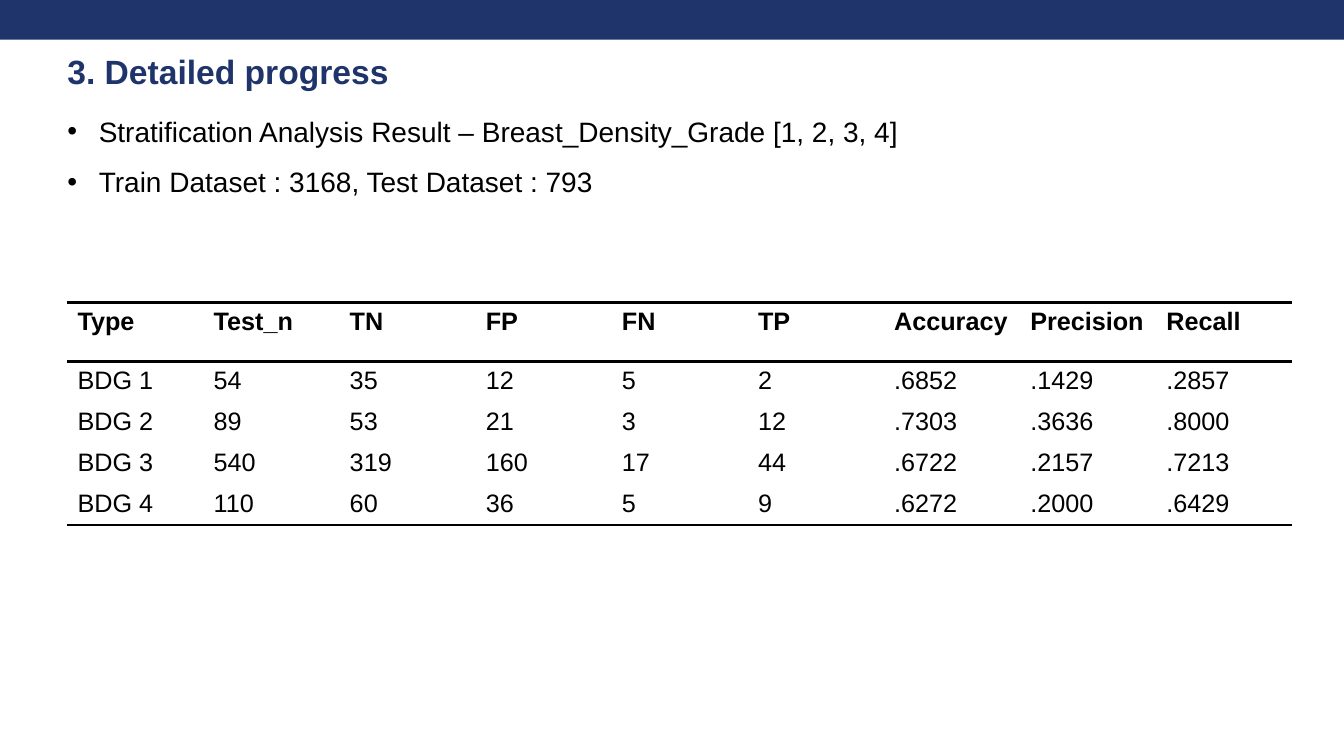
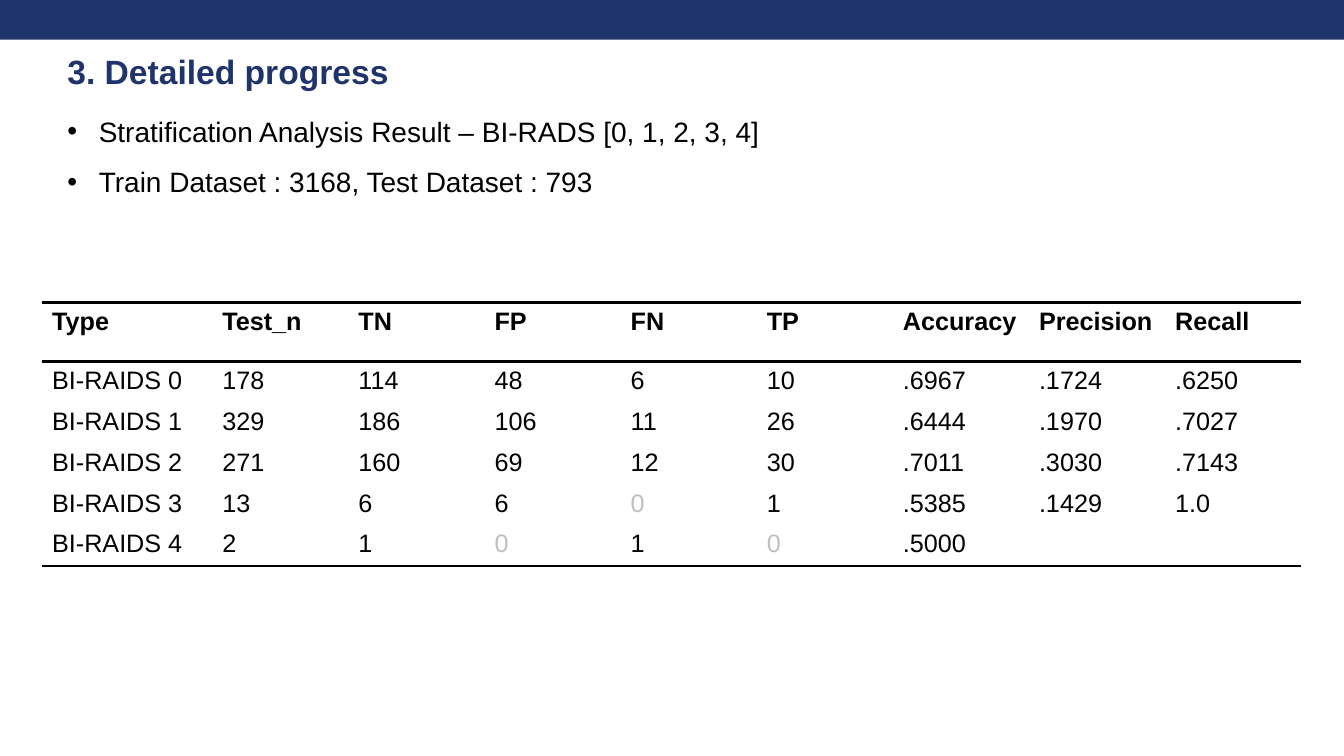
from lxml import etree
from pptx import Presentation
from pptx.dml.color import RGBColor
from pptx.enum import shapes, text
from pptx.oxml import ns
from pptx.util import Cm, Pt

# Content
TITLE = "3. Detailed progress"
DATASETS = "Train Dataset : 3168, Test Dataset : 793"
HEADINGS = ("Type", "Test_n", "TN", "FP", "FN", "TP", "Accuracy", "Precision", "Recall")
RESULTS = [
    {
        "grouping": "Stratification Analysis Result – Breast_Density_Grade [1, 2, 3, 4]",
        "left": 1.7, "type_width": 3.43,
        "rows": [
            ("BDG 1", "54", "35", "12", "5", "2", ".6852", ".1429", ".2857"),
            ("BDG 2", "89", "53", "21", "3", "12", ".7303", ".3636", ".8000"),
            ("BDG 3", "540", "319", "160", "17", "44", ".6722", ".2157", ".7213"),
            ("BDG 4", "110", "60", "36", "5", "9", ".6272", ".2000", ".6429"),
        ],
    },
    {
        "grouping": "Stratification Analysis Result – BI-RADS [0, 1, 2, 3, 4]",
        "left": 1.06, "type_width": 4.29,
        "rows": [
            ("BI-RAIDS 0", "178", "114", "48", "6", "10", ".6967", ".1724", ".6250"),
            ("BI-RAIDS 1", "329", "186", "106", "11", "26", ".6444", ".1970", ".7027"),
            ("BI-RAIDS 2", "271", "160", "69", "12", "30", ".7011", ".3030", ".7143"),
            ("BI-RAIDS 3", "13", "6", "6", "0", "1", ".5385", ".1429", "1.0"),
            ("BI-RAIDS 4", "2", "1", "0", "1", "0", ".5000", "", ""),
        ],
    },
]


# Look shared by the slides
class Theme:
    font = "Arial"
    navy, black, grey = (RGBColor.from_string(c) for c in ("1F346B", "000000", "BFBFBF"))
    title_size, bullet_size, table_size = Pt(24), Pt(20), Pt(18)
    rule = Pt(2.25)


WIDTH, HEIGHT = Cm(33.87), Cm(19.05)
MARGIN = Cm(1.7)
BAND_HEIGHT = Cm(1)
TABLE_TOP, HEADING_HEIGHT, ROW_HEIGHT, VALUE_WIDTH = Cm(7.62), Cm(1.49), Cm(1.03), Cm(3.43)
BULLET_INDENT = Cm(0.79)


def style(paragraph, size, color, bold=False):
    for run in paragraph.runs:
        run.font.name, run.font.size, run.font.bold = Theme.font, size, bold
        run.font.color.rgb = color


def add_text(slide, top, width, height, content):
    frame = slide.shapes.add_textbox(MARGIN, top, width, height).text_frame
    frame.word_wrap = True
    frame.margin_left = frame.margin_right = frame.margin_top = frame.margin_bottom = 0
    frame.text = content
    return frame


def add_bullet(paragraph):
    properties = paragraph._p.get_or_add_pPr()
    properties.set("marL", str(BULLET_INDENT))
    properties.set("indent", str(-BULLET_INDENT))
    etree.SubElement(properties, ns.qn("a:buFont"), typeface=Theme.font)
    etree.SubElement(properties, ns.qn("a:buChar"), char="•")
    paragraph.line_spacing = 1.5


def set_borders(cell, ruled_sides):
    properties = cell._tc.get_or_add_tcPr()
    for side in "LRTB":
        line = etree.SubElement(properties, ns.qn(f"a:ln{side}"))
        if side in ruled_sides:
            line.set("w", str(Theme.rule))
            fill = etree.SubElement(line, ns.qn("a:solidFill"))
            etree.SubElement(fill, ns.qn("a:srgbClr"), val=str(Theme.black))
        else:
            etree.SubElement(line, ns.qn("a:noFill"))


def add_header(slide):
    band = slide.shapes.add_shape(shapes.MSO_SHAPE.RECTANGLE, 0, 0, WIDTH, BAND_HEIGHT)
    band.shadow.inherit = False
    band.fill.solid()
    band.fill.fore_color.rgb = Theme.navy
    band.line.fill.background()
    title = add_text(slide, Cm(1.25), Cm(31.55), Cm(1.07), TITLE)
    title.vertical_anchor = text.MSO_ANCHOR.MIDDLE
    style(title.paragraphs[0], Theme.title_size, Theme.navy, bold=True)


def add_results(slide, result):
    rows = [HEADINGS] + result["rows"]
    widths = [Cm(result["type_width"])] + [VALUE_WIDTH] * (len(HEADINGS) - 1)
    heights = [HEADING_HEIGHT] + [ROW_HEIGHT] * len(result["rows"])
    table = slide.shapes.add_table(len(rows), len(HEADINGS), Cm(result["left"]), TABLE_TOP,
                                   sum(widths), sum(heights)).table
    table.first_row = table.horz_banding = False
    for column, width in zip(table.columns, widths):
        column.width = width
    for number, (row, height, values) in enumerate(zip(table.rows, heights, rows)):
        row.height = height
        # Rules above and below the headings, and below the last row
        sides = {0: "TB", 1: "T", len(rows) - 1: "B"}.get(number, "")
        for cell, value in zip(row.cells, values):
            set_borders(cell, sides)
            cell.fill.background()
            cell.text_frame.text = value
            color = Theme.grey if value == "0" else Theme.black
            style(cell.text_frame.paragraphs[0], Theme.table_size, color, bold=number == 0)


def main():
    deck = Presentation()
    deck.slide_width, deck.slide_height = WIDTH, HEIGHT
    for result in RESULTS:
        slide = deck.slides.add_slide(deck.slide_layouts[6])
        add_header(slide)
        bullets = add_text(slide, Cm(2.46), Cm(30.48), Cm(2.41),
                           "\n".join((result["grouping"], DATASETS)))
        for paragraph in bullets.paragraphs:
            add_bullet(paragraph)
            style(paragraph, Theme.bullet_size, Theme.black)
        add_results(slide, result)
    deck.save("out.pptx")


if __name__ == "__main__":
    main()
